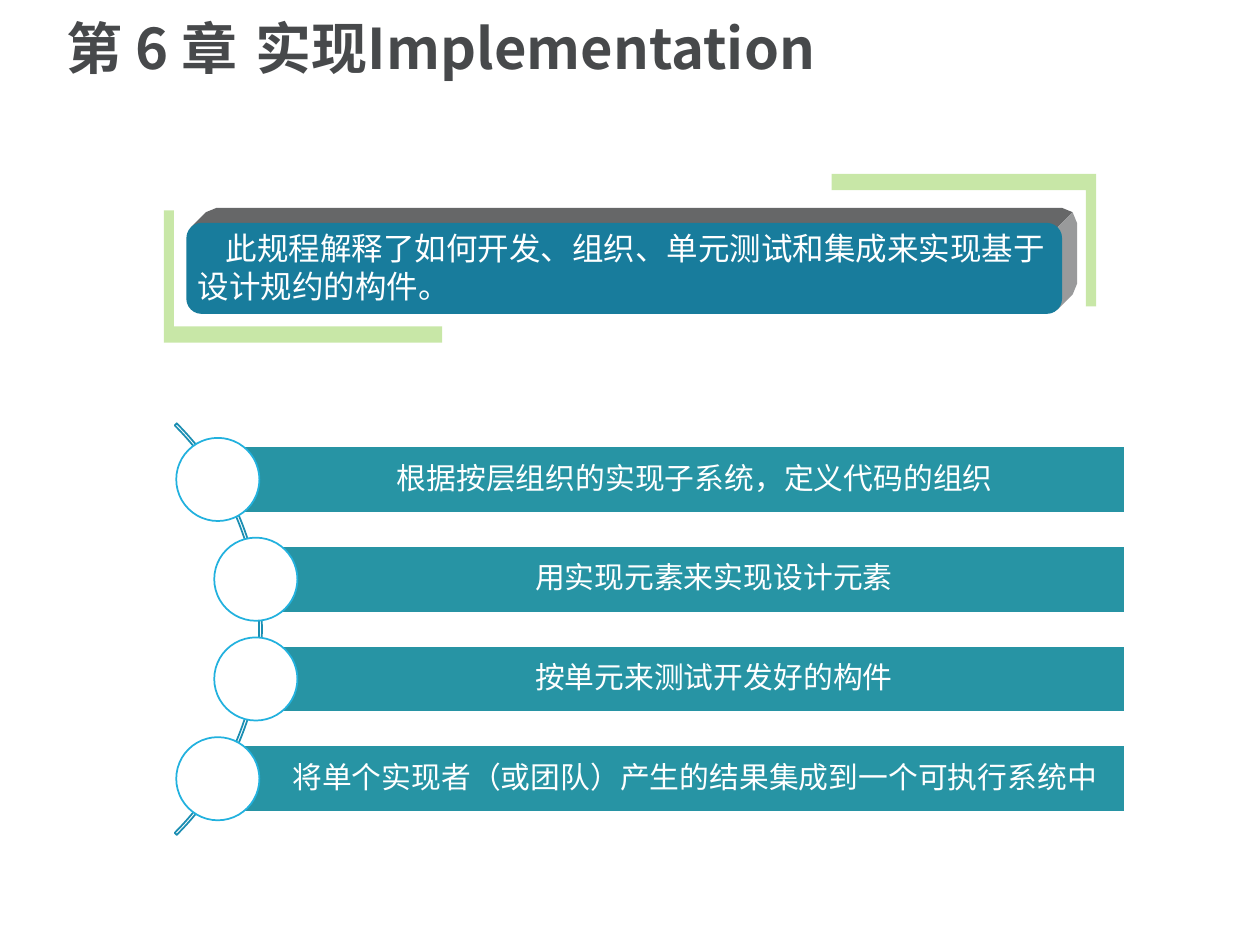
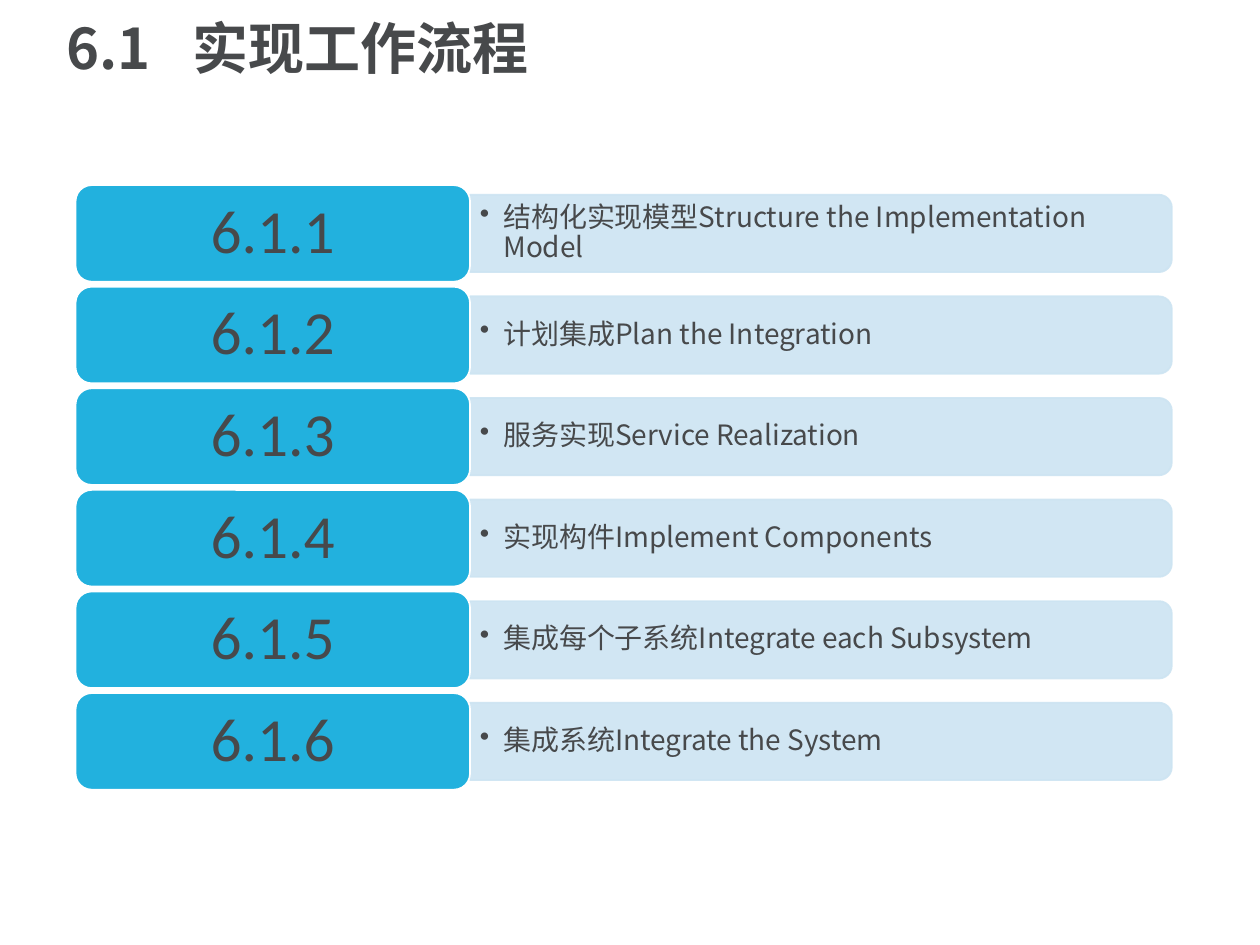
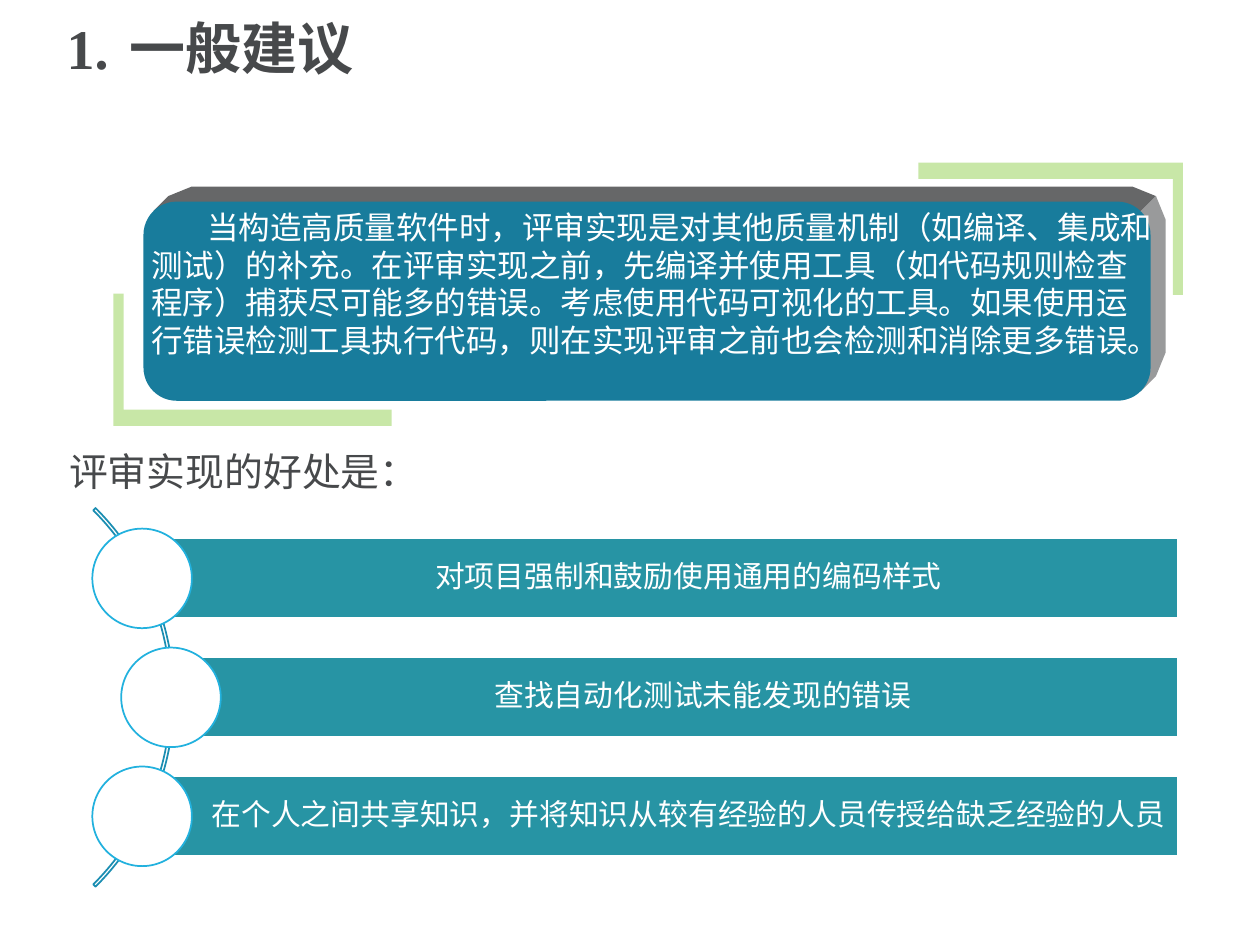
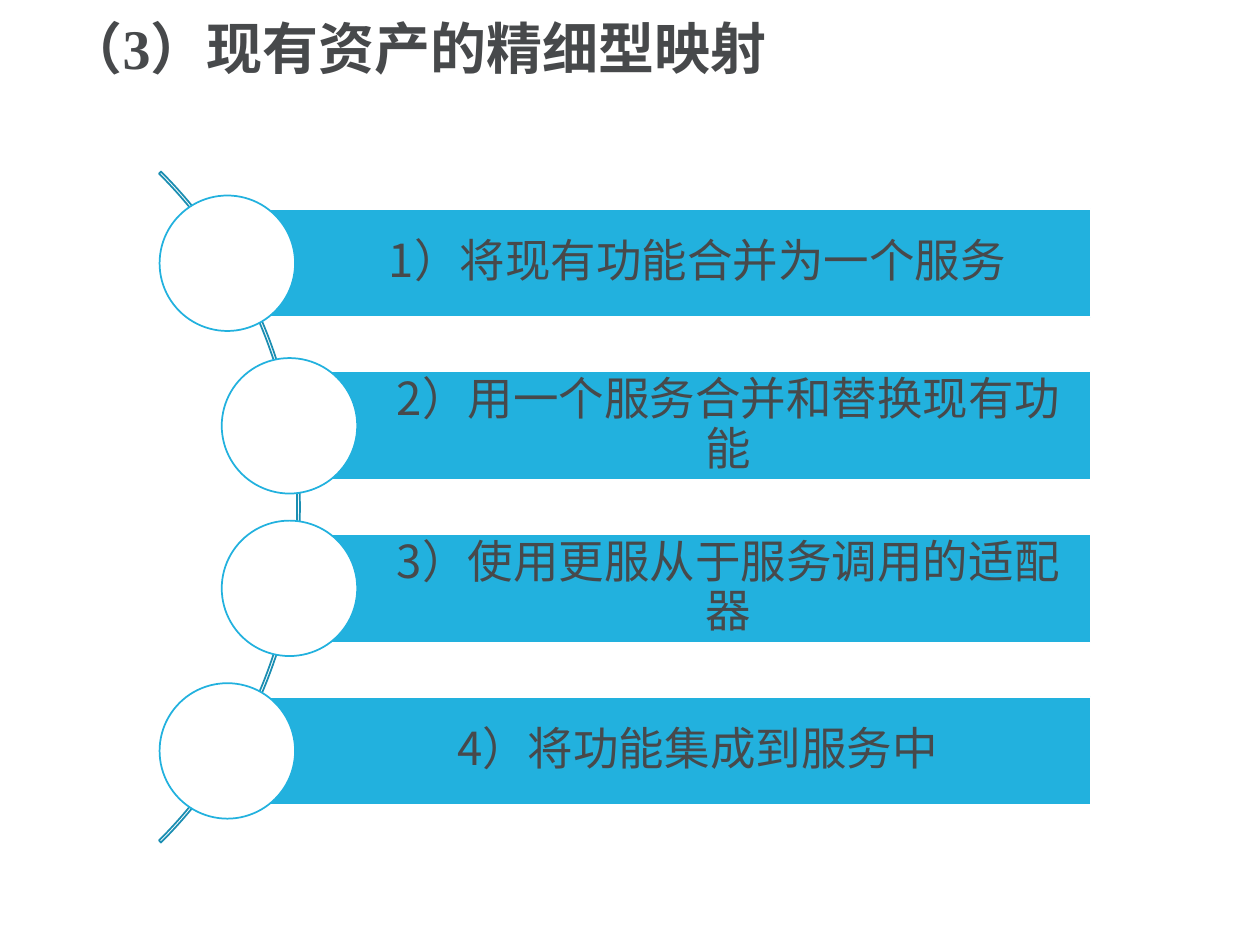
from lxml.etree import SubElement
from pptx import Presentation
from pptx.dml.color import RGBColor
from pptx.enum.shapes import MSO_SHAPE
from pptx.enum.text import MSO_ANCHOR, PP_ALIGN
from pptx.oxml.ns import qn
from pptx.util import Pt

WHITE = RGBColor(0xFF, 0xFF, 0xFF)
INK = RGBColor(0x47, 0x49, 0x4B)
BLUE = RGBColor(0x22, 0xB1, 0xDE)
ARC_BLUE = RGBColor(0x1B, 0x8E, 0xB2)
TEAL = RGBColor(0x27, 0x94, 0xA4)
PALE_BLUE = RGBColor(0xCD, 0xE4, 0xF2)
GREEN = RGBColor(0x92, 0xD0, 0x50)
PLATE_FACE = RGBColor(0x18, 0x7C, 0x9C)
PLATE_TOP = RGBColor(0x66, 0x67, 0x68)
PLATE_SIDE = RGBColor(0x99, 0x9A, 0x9B)

SANS = "Noto Sans CJK SC"
SANS_JP = "Noto Sans CJK JP"
SERIF = "Times New Roman"
CALIBRI = "Calibri"


def put_text(shape, text, size=18, font=SANS, color=WHITE, bold=False,
             align=PP_ALIGN.LEFT, anchor=MSO_ANCHOR.MIDDLE, spacing=0.9,
             insets=(7.2, 3.6, 7.2, 3.6), first_indent=0, hanging=0,
             bullet=None, tab=None):
    """Write one formatted paragraph into a shape."""
    frame = shape.text_frame
    frame.word_wrap = True
    frame.vertical_anchor = anchor
    (frame.margin_left, frame.margin_top,
     frame.margin_right, frame.margin_bottom) = map(Pt, insets)
    paragraph = frame.paragraphs[0]
    properties = paragraph._p.get_or_add_pPr()
    properties.set("marL", str(Pt(hanging)))
    properties.set("indent", str(Pt(first_indent - hanging)))
    if bullet:
        SubElement(properties, qn("a:buChar"), char=bullet)
    if tab:
        stops = SubElement(properties, qn("a:tabLst"))
        SubElement(stops, qn("a:tab"), pos=str(Pt(tab)), algn="l")
    paragraph.alignment = align
    paragraph.line_spacing = spacing
    run = paragraph.add_run()
    run.text = text
    run.font.size = Pt(size)
    run.font.bold = bold
    run.font.color.rgb = color
    run.font.name = font
    east_asian = SANS_JP if font == SANS_JP else SANS
    SubElement(run.font._element, qn("a:ea"), typeface=east_asian)


def add_text(slide, box, text, **text_format):
    """Add a text box at (left, top, width, height)."""
    put_text(slide.shapes.add_textbox(*map(Pt, box)), text, **text_format)


def paint(shape, fill=None, line=None, opacity=None):
    """Set fill, outline and opacity, without a shadow."""
    shape.shadow.inherit = False
    if fill is None:
        shape.fill.background()
    else:
        shape.fill.solid()
        shape.fill.fore_color.rgb = fill
    if line is None:
        shape.line.fill.background()
    else:
        shape.line.color.rgb = line
        shape.line.width = Pt(1)
    if opacity:
        for color in shape.element.spPr.iter(qn("a:srgbClr")):
            SubElement(color, qn("a:alpha"), val=str(opacity * 1000))
    return shape


def add_preset(slide, preset, box, **look):
    """Add a preset shape at (left, top, width, height)."""
    return paint(slide.shapes.add_shape(preset, *map(Pt, box)), **look)


def add_outline(slide, points, **look):
    """Add a closed polygon through the given points."""
    corners = [(Pt(x), Pt(y)) for x, y in points]
    builder = slide.shapes.build_freeform(*corners[0], scale=1.0)
    builder.add_line_segments(corners[1:], close=True)
    return paint(builder.convert_to_shape(), **look)


def add_title(slide, text, **text_format):
    """Add the slide title."""
    add_text(slide, (31, 4.3, 651.6, 50.4), text, size=32, color=INK,
             bold=True, **text_format)


def add_bracket(slide, x, y, width, direction):
    """Add an L bracket at its corner; direction 1 opens up right, -1 down left."""
    height, upright, foot = 75.6, 5.8, 9.3
    offsets = [(0, 0), (width, 0), (width, foot), (upright, foot),
               (upright, height), (0, height)]
    add_outline(slide, [(x + direction * dx, y - direction * dy)
                        for dx, dy in offsets], fill=GREEN, opacity=50)


def add_plate(slide, left, top, width, height):
    """Add a rounded plate with a raised top and right edge."""
    depth = 8.6
    radius = min(width, height) / 6
    cut = radius * 0.29
    right, bottom = left + width, top + height
    far_left, far_right = left + depth, right + depth
    far_top, far_bottom = top - depth, bottom - depth
    add_outline(slide, [(left + cut, top + cut), (far_left + cut, far_top + cut),
                        (far_left + radius, far_top), (far_right - radius, far_top),
                        (far_right - cut, far_top + cut), (right - cut, top + cut)],
                fill=PLATE_TOP)
    add_outline(slide, [(right - cut, top + cut), (far_right - cut, far_top + cut),
                        (far_right, far_top + radius), (far_right, far_bottom - radius),
                        (far_right - cut, far_bottom - cut), (right - cut, bottom - cut)],
                fill=PLATE_SIDE)
    add_preset(slide, MSO_SHAPE.ROUNDED_RECTANGLE, (left, top, width, height),
               fill=PLATE_FACE)


def add_chain(slide, items, centers, first_y, pitch, diameter, right,
              arc_left, arc_size, arc_band, fill=TEAL, inset=3.4, **text_format):
    """Add bars led by circles that sit along an arc."""
    middle = first_y + pitch * (len(items) - 1) / 2
    arc = add_preset(slide, MSO_SHAPE.BLOCK_ARC,
                     (arc_left, middle - arc_size / 2, arc_size, arc_size),
                     line=ARC_BLUE)
    for index, value in enumerate((189, 27, arc_band)):
        arc.adjustments[index] = value
    bar_height = diameter * 0.8
    for row, (item, x) in enumerate(zip(items, centers)):
        y = first_y + row * pitch
        bar = add_preset(slide, MSO_SHAPE.RECTANGLE,
                         (x, y - bar_height / 2, right - x, bar_height),
                         fill=fill, line=WHITE)
        put_text(bar, item, align=PP_ALIGN.CENTER,
                 insets=(diameter * 0.635, inset, inset, inset), **text_format)
        add_preset(slide, MSO_SHAPE.OVAL,
                   (x - diameter / 2, y - diameter / 2, diameter, diameter),
                   fill=WHITE, line=BLUE)


def add_section(slide, top, number, name):
    """Add one row: a numbered label and its rounded bar."""
    left, label_width, label_height = 43.2, 225.4, 55.2
    bar_width, bar_height = 401, 44.2
    bar_left = left + label_width
    middle = top + label_height / 2
    bar = add_preset(slide, MSO_SHAPE.ROUND_2_SAME_RECTANGLE,
                     (bar_left + (bar_width - bar_height) / 2,
                      middle - bar_width / 2, bar_height, bar_width),
                     fill=PALE_BLUE, line=PALE_BLUE, opacity=90)
    bar.rotation = 90
    add_text(slide, (bar_left + 0.6, middle - 20, 399, 40), name, size=16,
             font=SANS_JP, color=INK, hanging=13.5, bullet="•",
             insets=(5, 2.2, 5, 2.2))
    label = add_preset(slide, MSO_SHAPE.ROUNDED_RECTANGLE,
                       (left, top, label_width, label_height),
                       fill=BLUE, line=WHITE)
    put_text(label, number, size=35, font=CALIBRI, color=INK,
             align=PP_ALIGN.CENTER)


def build_chapter(slide):
    """Build the chapter opening."""
    add_title(slide, "第 6 章\t实现Implementation", tab=163)
    add_bracket(slide, 93.6, 195.8, 159, 1)
    add_bracket(slide, 626.4, 99.4, 151.2, -1)
    add_plate(slide, 106.5, 127.4, 500.4, 52)
    add_text(slide, (105.8, 127.4, 500.4, 73.4),
             "此规程解释了如何开发、组织、单元测试和集成来实现基于设计规约的构件。",
             anchor=MSO_ANCHOR.TOP, spacing=1.0, first_indent=16)
    add_chain(slide, ["根据按层组织的实现子系统，定义代码的组织",
                      "用实现元素来实现设计元素",
                      "按单元来测试开发好的构件",
                      "将单个实现者（或团队）产生的结果集成到一个可执行系统中"],
              centers=(124.5, 146.2, 146.2, 124.5), first_y=274, pitch=57,
              diameter=47.5, right=643, arc_left=-182.9, arc_size=332.6,
              arc_band=0.005, size=17)


def build_workflow(slide):
    """Build the list of workflow sections."""
    add_title(slide, "6.1\t实现工作流程", tab=81.5)
    names = ["结构化实现模型Structure the Implementation Model",
             "计划集成Plan the Integration",
             "服务实现Service Realization",
             "实现构件Implement Components",
             "集成每个子系统Integrate each Subsystem",
             "集成系统Integrate the System"]
    for row, name in enumerate(names):
        add_section(slide, 105.8 + row * 58.05, f"6.1.{row + 1}", name)


def build_advice(slide):
    """Build the general advice on reviews."""
    add_title(slide, "1.\t一般建议", font=SERIF, tab=41)
    add_text(slide, (32.4, 252, 654.5, 34.6), "评审实现的好处是：", size=22.2,
             font=SERIF, color=INK, anchor=MSO_ANCHOR.TOP, spacing=1.0)
    add_chain(slide, ["对项目强制和鼓励使用通用的编码样式",
                      "查找自动化测试未能发现的错误",
                      "在个人之间共享知识，并将知识从较有经验的人员传授给缺乏经验的人员"],
              centers=(81.2, 97.7, 81.2), first_y=330.5, pitch=68,
              diameter=56.9, right=673, arc_left=-206.6, arc_size=306,
              arc_band=0.006, size=17, font=SERIF)
    add_bracket(slide, 64.8, 243.4, 159, 1)
    add_bracket(slide, 676, 92.9, 151.2, -1)
    add_plate(slide, 82, 115.2, 575.5, 113.8)
    add_text(slide, (79.2, 115.2, 586.8, 116.6),
             "当构造高质量软件时，评审实现是对其他质量机制（如编译、集成和测试）的补充。"
             "在评审实现之前，先编译并使用工具（如代码规则检查程序）捕获尽可能多的错误。"
             "考虑使用代码可视化的工具。如果使用运行错误检测工具执行代码，"
             "则在实现评审之前也会检测和消除更多错误。",
             font=SERIF, anchor=MSO_ANCHOR.TOP, spacing=1.0, first_indent=32)


def build_mapping(slide):
    """Build the fine-grained mapping steps."""
    add_title(slide, "（3）现有资产的精细型映射", font=SERIF)
    add_chain(slide, ["1）将现有功能合并为一个服务",
                      "2）用一个服务合并和替换现有功能",
                      "3）使用更服从于服务调用的适配器",
                      "4）将功能集成到服务中"],
              centers=(129.9, 165.4, 165.4, 129.9), first_y=150.4, pitch=92.9,
              diameter=77.4, right=623.2, arc_left=-370.8, arc_size=542.2,
              arc_band=0.003, fill=BLUE, inset=5, size=26, color=INK)


def main():
    """Build the four slides and save them."""
    deck = Presentation()
    deck.slide_width, deck.slide_height = Pt(720), Pt(540)
    for build in (build_chapter, build_workflow, build_advice, build_mapping):
        build(deck.slides.add_slide(deck.slide_layouts[6]))
    deck.save("out.pptx")


if __name__ == "__main__":
    main()
